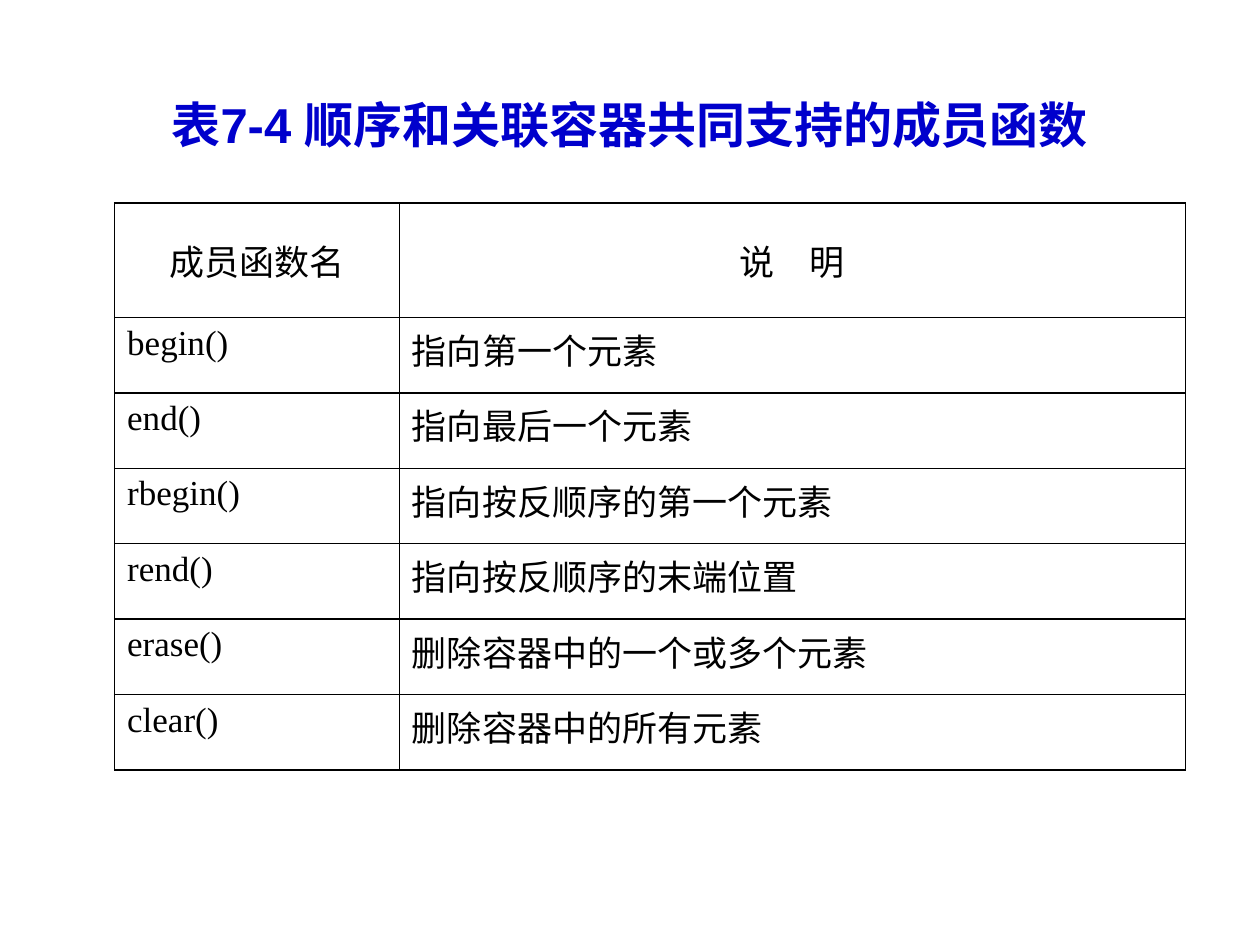
from typing import Any, NamedTuple

from lxml import etree
from pptx import Presentation
from pptx.dml.color import RGBColor
from pptx.enum.text import MSO_ANCHOR, PP_ALIGN
from pptx.oxml.ns import qn
from pptx.util import Cm, Pt

CENTER, LEFT = PP_ALIGN.CENTER, PP_ALIGN.LEFT
MIDDLE, TOP = MSO_ANCHOR.MIDDLE, MSO_ANCHOR.TOP
BLACK, BLUE = "000000", "0000CC"
TITLE_FONT = {"name": "Arial", "size": Pt(28), "bold": True}
CELL_FONT = {"name": "Times New Roman", "size": Pt(20), "bold": False}
COL_WIDTHS = (5.74, 15.85)
HEADER_HEIGHT, ROW_HEIGHT = 2.31, 1.52
INDENT = Cm(0.95)


class Member(NamedTuple):
    name: str
    meaning: str


HEADER = Member("成员函数名", "说　明")
MEMBERS = (
    Member("begin()", "指向第一个元素"),
    Member("end()", "指向最后一个元素"),
    Member("rbegin()", "指向按反顺序的第一个元素"),
    Member("rend()", "指向按反顺序的末端位置"),
    Member("erase()", "删除容器中的一个或多个元素"),
    Member("clear()", "删除容器中的所有元素"),
)


def color(value: str) -> RGBColor:
    return RGBColor.from_string(value)


def write(p: Any, text: str, font: dict, fill: str, align: PP_ALIGN) -> None:
    p.alignment = align
    r = p.add_run()
    r.text = text
    for key, value in font.items():
        setattr(r.font, key, value)
    r.font.color.rgb = color(fill)


def add_borders(cell: Any) -> None:
    """Put a 1 pt black line on each side, ahead of the fill as the schema asks."""
    tc_pr = cell._tc.get_or_add_tcPr()
    for i, side in enumerate(("lnL", "lnR", "lnT", "lnB")):
        ln = etree.Element(qn(f"a:{side}"), w=str(Pt(1)))
        fill = etree.SubElement(ln, qn("a:solidFill"))
        etree.SubElement(fill, qn("a:srgbClr"), val=BLACK)
        tc_pr.insert(i, ln)


def fill_cell(cell: Any, text: str, is_header: bool) -> None:
    cell.fill.background()
    add_borders(cell)
    cell.vertical_anchor = MIDDLE if is_header else TOP
    p = cell.text_frame.paragraphs[0]
    p_pr = p._p.get_or_add_pPr()
    p_pr.set("marL", str(INDENT))
    p_pr.set("indent", str(-INDENT))
    write(p, text, CELL_FONT, BLACK, CENTER if is_header else LEFT)


def add_title(s: Any, text: str) -> None:
    sp = s.shapes.add_textbox(Cm(1.9), Cm(0.91), Cm(21.59), Cm(3.18))
    tf = sp.text_frame
    tf.word_wrap = True
    tf.vertical_anchor = MIDDLE
    write(tf.paragraphs[0], text, TITLE_FONT, BLUE, CENTER)


def add_member_table(s: Any) -> None:
    rows = (HEADER, *MEMBERS)
    heights = [HEADER_HEIGHT] + [ROW_HEIGHT] * len(MEMBERS)
    table = s.shapes.add_table(
        len(rows), len(COL_WIDTHS), Cm(2.31), Cm(4.09),
        Cm(sum(COL_WIDTHS)), Cm(sum(heights)),
    ).table
    table.first_row = table.horz_banding = False
    for col, width in zip(table.columns, COL_WIDTHS):
        col.width = Cm(width)
    for i, (member, height) in enumerate(zip(rows, heights)):
        table.rows[i].height = Cm(height)
        for j, text in enumerate(member):
            fill_cell(table.cell(i, j), text, is_header=i == 0)


def main() -> None:
    prs = Presentation()
    prs.slide_width, prs.slide_height = Cm(25.4), Cm(19.05)
    s = prs.slides.add_slide(prs.slide_layouts[6])
    add_title(s, "表7-4 顺序和关联容器共同支持的成员函数")
    add_member_table(s)
    prs.save("out.pptx")


if __name__ == "__main__":
    main()
